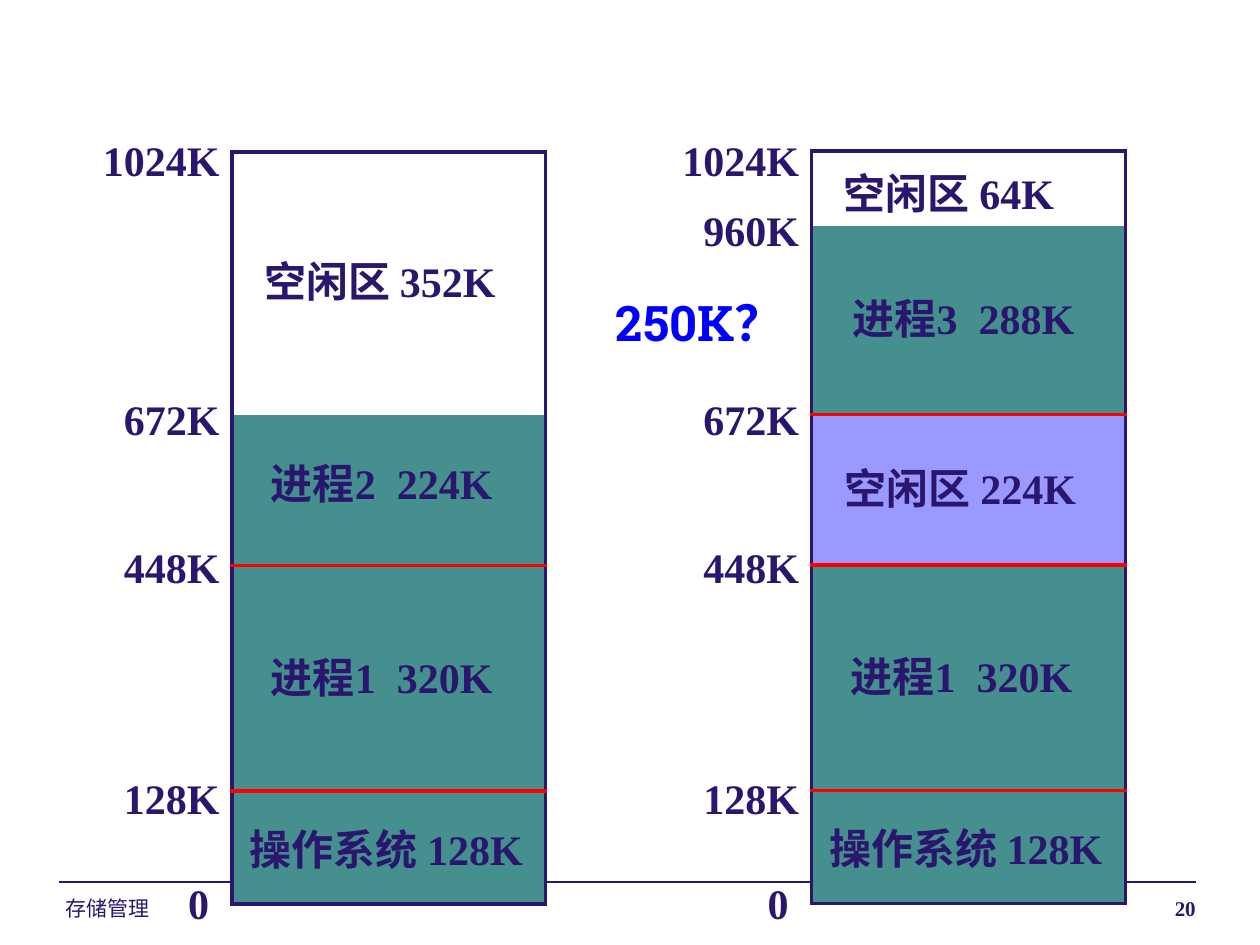
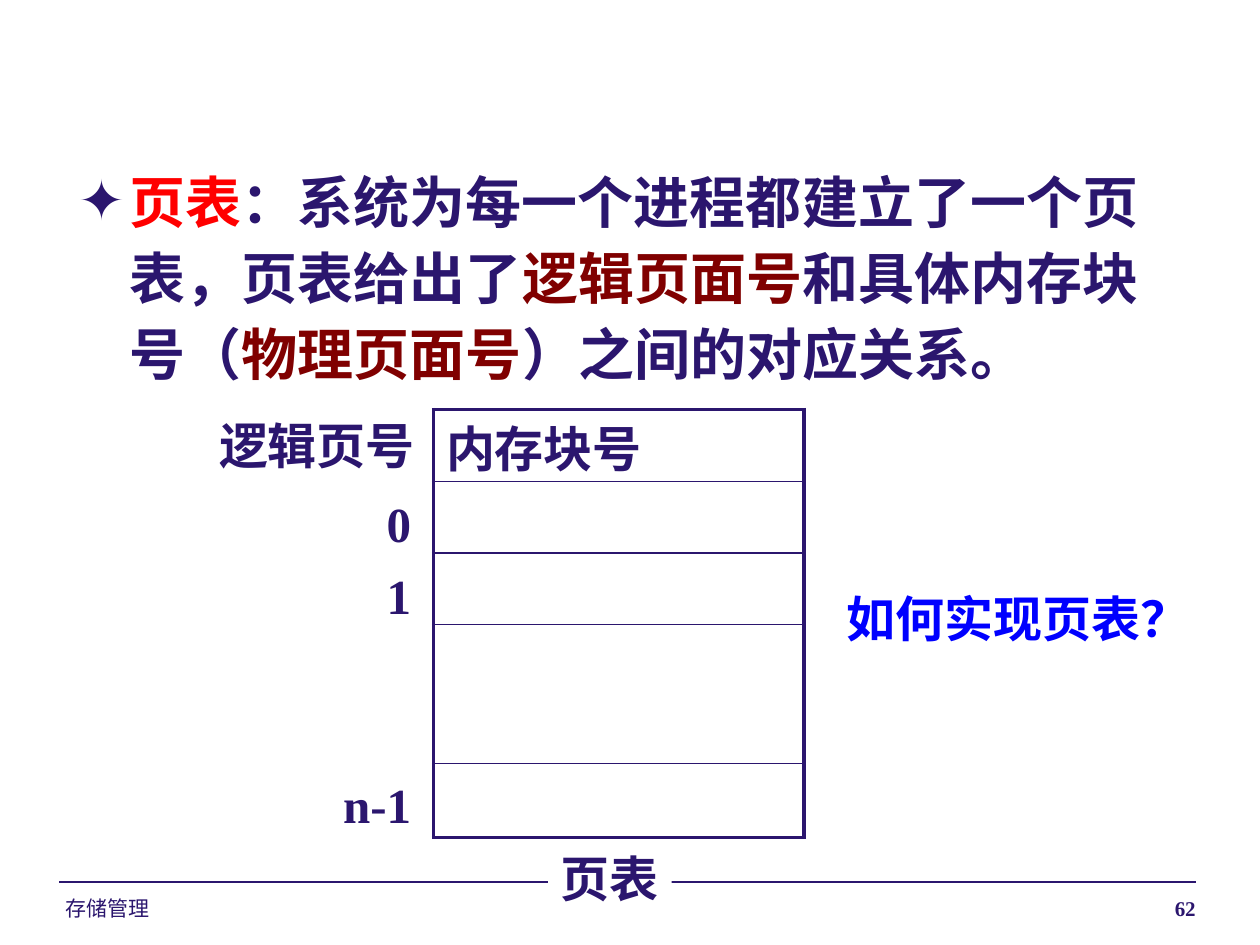
from lxml import etree
from pptx import Presentation
from pptx.dml.color import RGBColor
from pptx.enum.shapes import MSO_CONNECTOR, MSO_SHAPE
from pptx.enum.text import MSO_ANCHOR, MSO_AUTO_SIZE, PP_ALIGN
from pptx.oxml.ns import qn
from pptx.util import Pt

LEFT, RIGHT, CENTER = PP_ALIGN.LEFT, PP_ALIGN.RIGHT, PP_ALIGN.CENTER
TOP = MSO_ANCHOR.TOP
NO_AUTOFIT = MSO_AUTO_SIZE.NONE
STRAIGHT = MSO_CONNECTOR.STRAIGHT
RECTANGLE = MSO_SHAPE.RECTANGLE

INK = RGBColor(0x2B, 0x16, 0x6E)
RED = RGBColor(0xFF, 0x00, 0x00)
MAROON = RGBColor(0x80, 0x00, 0x00)
BLUE = RGBColor(0x00, 0x00, 0xFF)
TEAL = RGBColor(0x45, 0x8F, 0x8F)
LILAC = RGBColor(0x99, 0x99, 0xFF)
WHITE = RGBColor(0xFF, 0xFF, 0xFF)

SERIF = "Times New Roman"
SANS = "Arial"
SLAB = "Roboto Slab"
CJK = "Noto Sans CJK SC"

NO_TABLE_STYLE = "{2D5ABB26-0587-4C30-8999-92F81FD0307C}"
LINE_HEIGHT = 1.25
OUTLINE = 2.25
BODY_LAYOUT, BLANK_LAYOUT = 1, 6

MAP_TOP = 86.8
MAP_WIDTH = 179.3
MAP_ROW = 21.49
ADDRESS_TOPS = {"1024K": 72, "960K": 112.3, "672K": 220.2,
                "448K": 304.6, "128K": 436.8, "0": 496.8}

# Memory blocks: label, rows, fill, label offset from the map's corner
PROCESS_1 = ("进程1  320K", 6, TEAL, 15.3, 280.6)
SYSTEM = ("操作系统 128K", 3, TEAL, 3, 378.9)
BEFORE = [("空闲区 352K", 7, None, 11.5, 54.4),
          ("进程2  224K", 4, TEAL, 15.3, 169.7),
          PROCESS_1, SYSTEM]
AFTER = [("空闲区 64K", 2, None, 11.5, 4.8),
         ("进程3  288K", 5, TEAL, 16.5, 76),
         ("空闲区 224K", 4, LILAC, 12, 173.3),
         PROCESS_1, SYSTEM]


def add_run(paragraph, text, size=24, font=SERIF, color=INK, bold=True):
    run = paragraph.add_run()
    run.text = text
    run.font.size = Pt(size)
    run.font.bold = bold
    run.font.color.rgb = color
    run.font.name = font
    etree.SubElement(run.font._element, qn("a:ea"), typeface=CJK)


def write(frame, text, size=24, align=LEFT, **font_format):
    frame.word_wrap = True
    frame.vertical_anchor = TOP
    paragraph = frame.paragraphs[0]
    paragraph.alignment = align
    paragraph.line_spacing = Pt(size * LINE_HEIGHT)
    add_run(paragraph, text, size, **font_format)


def add_label(slide, text, left, top, width, height=36, **text_format):
    box = slide.shapes.add_textbox(Pt(left), Pt(top), Pt(width), Pt(height))
    write(box.text_frame, text, **text_format)


def add_footer(slide, page):
    rule = slide.shapes.add_connector(STRAIGHT, Pt(33.8), Pt(504),
                                      Pt(683.3), Pt(504))
    rule.line.color.rgb = INK
    rule.line.width = Pt(0.75)
    etree.SubElement(rule._element.spPr, qn("a:effectLst"))
    add_label(slide, "存储管理", 30.2, 507.6, 168, 17.3,
              size=12, font=SANS, bold=False)
    add_label(slide, page, 462.2, 507.6, 228.2, 17.3, size=12, align=RIGHT)


def set_borders(cell, top=None, bottom=None):
    """Outline the sides; top and bottom are (colour, width) or None."""
    side = (INK, OUTLINE)
    edges = {"L": side, "R": side, "T": top, "B": bottom}
    properties = cell._tc.get_or_add_tcPr()
    for position, (edge, stroke) in enumerate(edges.items()):
        line = etree.Element(qn(f"a:ln{edge}"))
        if stroke:
            color, width = stroke
            line.set("w", str(Pt(width)))
            fill = etree.SubElement(line, qn("a:solidFill"))
            etree.SubElement(fill, qn("a:srgbClr"), val=str(color))
        else:
            etree.SubElement(line, qn("a:noFill"))
        properties.insert(position, line)


def add_column(slide, left, top, width, row_heights):
    """Add a one-column unstyled table and return its cells."""
    table = slide.shapes.add_table(len(row_heights), 1, Pt(left), Pt(top),
                                   Pt(width), Pt(sum(row_heights))).table
    table.first_row = table.horz_banding = False
    table._tbl.tblPr.find(qn("a:tableStyleId")).text = NO_TABLE_STYLE
    for row, height in zip(table.rows, row_heights):
        row.height = Pt(height)
    cells = [table.cell(row, 0) for row in range(len(row_heights))]
    for cell in cells:
        cell.margin_top = cell.margin_bottom = 0
        cell.fill.background()
    return cells


def shrink_empty(cell):
    """Keep an empty cell's line from stretching its row."""
    paragraph = cell.text_frame.paragraphs[0]._p
    etree.SubElement(paragraph, qn("a:endParaRPr"), sz="800")


def add_memory_map(slide, left, top, blocks, addresses):
    row_count = sum(block[1] for block in blocks)
    cells = add_column(slide, left, top, MAP_WIDTH, [MAP_ROW] * row_count)
    row_fills = [fill for _, rows, fill, _, _ in blocks for _ in range(rows)]
    block_ends, end = set(), 0
    for _, rows, fill, _, _ in blocks:
        end += rows
        if fill:
            block_ends.add(end)

    def edge(row):
        if row in (0, row_count):
            return INK, OUTLINE
        return (RED, OUTLINE) if row in block_ends else None

    for row, (cell, fill) in enumerate(zip(cells, row_fills)):
        shrink_empty(cell)
        set_borders(cell, edge(row), edge(row + 1))
        if fill:
            cell.fill.solid()
            cell.fill.fore_color.rgb = fill

    for label, _, _, dx, dy in blocks:
        add_label(slide, label, left + dx, top + dy, 196)
    for address in addresses:
        right = left - 6 if address == "0" else left
        add_label(slide, address, right - 90, ADDRESS_TOPS[address], 90,
                  align=RIGHT)


def add_definition(slide):
    body = slide.placeholders[1]
    body.left, body.top, body.width, body.height = (
        Pt(37.4), Pt(87), Pt(649.4), Pt(139.7))
    body.text_frame.auto_size = NO_AUTOFIT
    paragraph = body.text_frame.paragraphs[0]
    properties = paragraph._p.get_or_add_pPr()
    properties.set("marL", str(Pt(29.5)))
    properties.set("indent", str(Pt(-29.5)))
    bullet_color = etree.SubElement(properties, qn("a:buClr"))
    etree.SubElement(bullet_color, qn("a:srgbClr"), val=str(INK))
    etree.SubElement(properties, qn("a:buChar"), char="✦")
    paragraph.line_spacing = Pt(43.4)
    paragraph.space_before = Pt(0)
    for text, font, color in [
            ("页表", CJK, RED),
            ("：系统为每一个进程都建立了一个页表，页表给出了", SERIF, INK),
            ("逻辑页面号", CJK, MAROON),
            ("和具体内存块号（", SERIF, INK),
            ("物理页面号", CJK, MAROON),
            ("）之间的对应关系。", SERIF, INK)]:
        add_run(paragraph, text, 32, font, color)


def add_page_table(slide):
    cells = add_column(slide, 247.7, 234, 211.7, [41, 41, 41, 79.2, 42.5])
    outer, inner = (INK, OUTLINE), (INK, 1)
    for cell in cells:
        set_borders(cell, outer if cell is cells[0] else inner,
                    outer if cell is cells[-1] else inner)
    for cell in cells[1:]:
        shrink_empty(cell)
    cells[0].margin_top = Pt(6)
    write(cells[0].text_frame, "内存块号", size=28, font=CJK)

    add_label(slide, "逻辑页号", 115.9, 232.6, 130.3, 41,
              size=28, align=CENTER)
    for page, top in [("0", 277.2), ("1", 318.2), ("n-1", 437.8)]:
        add_label(slide, page, 170, top, 72, 41, size=28, align=RIGHT)

    caption = slide.shapes.add_shape(RECTANGLE, Pt(313.2), Pt(480.2),
                                     Pt(70.6), Pt(41))
    caption.shadow.inherit = False
    caption.fill.solid()
    caption.fill.fore_color.rgb = WHITE
    caption.line.fill.background()
    write(caption.text_frame, "页表", size=28, font=CJK)


def build_fragmentation_slide(deck):
    slide = deck.slides.add_slide(deck.slide_layouts[BLANK_LAYOUT])
    add_footer(slide, "20")
    add_memory_map(slide, 132.5, MAP_TOP, BEFORE,
                   ["1024K", "672K", "448K", "128K", "0"])
    add_memory_map(slide, 463.7, MAP_TOP - 0.4, AFTER, ADDRESS_TOPS)
    add_label(slide, "250K？", 344.9, 162, 116.6, 41,
              size=28, font=SLAB, color=BLUE)


def build_page_table_slide(deck):
    slide = deck.slides.add_slide(deck.slide_layouts[BODY_LAYOUT])
    title = slide.shapes.title._element
    title.getparent().remove(title)
    add_footer(slide, "62")
    add_definition(slide)
    add_page_table(slide)
    add_label(slide, "如何实现页表？", 476.6, 331.2, 220, 41,
              size=28, font=CJK, color=BLUE)


def main():
    deck = Presentation()
    deck.slide_width, deck.slide_height = Pt(720), Pt(540)
    build_fragmentation_slide(deck)
    build_page_table_slide(deck)
    deck.save("out.pptx")


if __name__ == "__main__":
    main()
